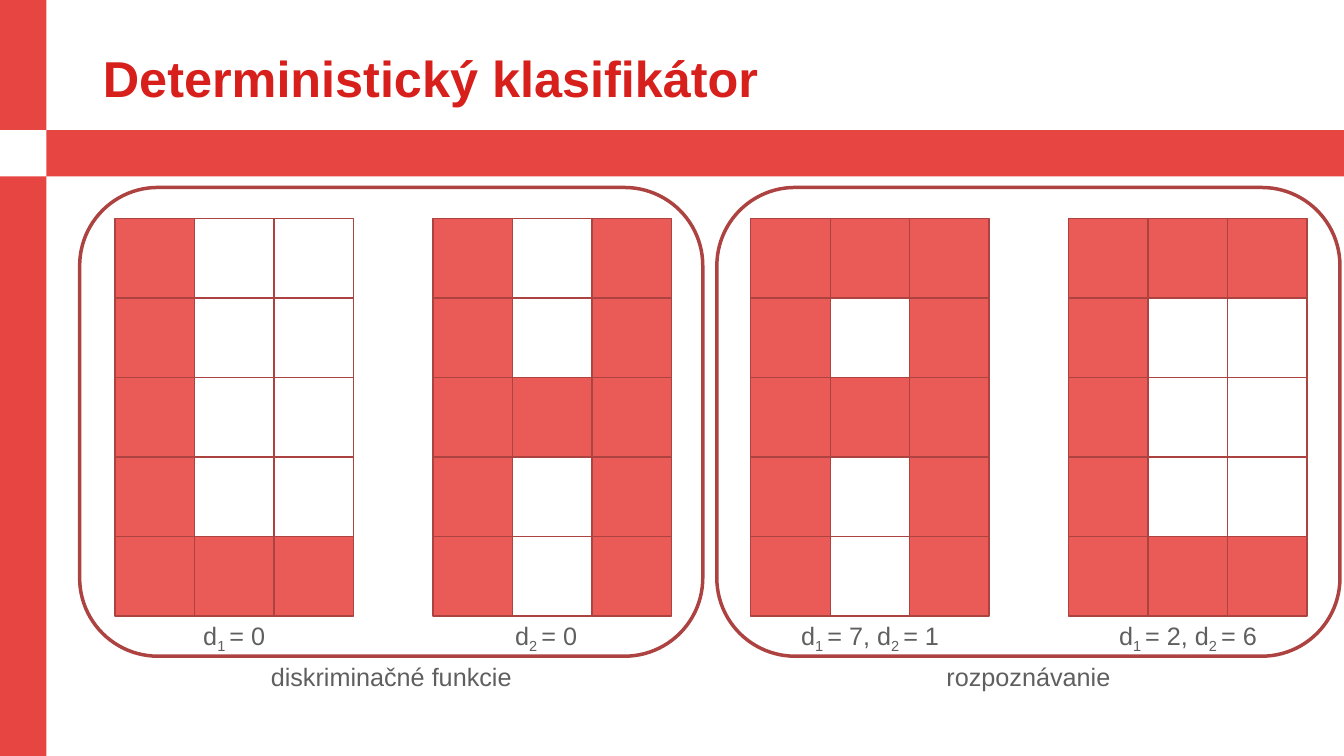
from dataclasses import dataclass

from pptx import Presentation
from pptx import util as u
from pptx.dml.color import RGBColor
from pptx.enum import shapes, text

COLORS = {
    "band": "E74541",
    "white": "FFFFFF",
    "title": "D71F1B",
    "cell": "EA5B58",
    "line": "AD4341",
    "text": "5F5F5F",
}
FONT = "Arial"
SLIDE_W, SLIDE_H = 13.33, 7.5
BAND, BAND_TOP = 0.46, 1.29

CELL = 9.46 / 12  # twelve grid columns from the first glyph to the last
GRID_LEFT, GRID_TOP = 1.14, 2.17
GLYPH_COLS, GLYPH_STEP = 3, 4
LABEL_TOP, LABEL_H = 6.1, 0.4
FRAME_TOP, FRAME_W, FRAME_H = 1.86, 6.18, 4.65


@dataclass
class Glyph:
    rows: tuple[str, ...]
    label: tuple[str, ...]  # plain and subscript pieces in turn
    label_shift: float = 0


@dataclass
class Frame:
    left: float
    caption: str


GLYPHS = [
    Glyph(("#..", "#..", "#..", "#..", "###"), ("d", "1 ", "= 0")),
    Glyph(("#.#", "#.#", "###", "#.#", "#.#"), ("d", "2 ", "= 0"), -0.06),
    Glyph(("###", "#.#", "###", "#.#", "#.#"), ("d", "1 ", "= 7, d", "2 ", "= 1")),
    Glyph(("###", "#..", "#..", "#..", "###"), ("d", "1 ", "= 2, d", "2 ", "= 6")),
]
FRAMES = [Frame(7.11, "rozpoznávanie"), Frame(0.79, "diskriminačné funkcie")]


def rgb(name: str) -> RGBColor:
    return RGBColor.from_string(COLORS[name])


def style(p, size: float, color: str, align, bold: bool = False) -> None:
    p.alignment = align
    p.font.name, p.font.size, p.font.bold = FONT, u.Pt(size), bold
    p.font.color.rgb = rgb(color)


def add_box(s, kind, box: tuple[float, ...], fill: str = "", line_width: float = 0) -> None:
    """Add a preset shape; no fill name means no fill, zero width means no line."""
    sp = s.shapes.add_shape(kind, *map(u.Inches, box))
    sp.shadow.inherit = False
    if fill:
        sp.fill.solid()
        sp.fill.fore_color.rgb = rgb(fill)
    else:
        sp.fill.background()
    if line_width:
        sp.line.color.rgb = rgb("line")
        sp.line.width = u.Pt(line_width)
    else:
        sp.line.fill.background()


def add_label(s, left: float, top: float, width: float, pieces: tuple[str, ...]) -> None:
    """Add a centred line in which every second piece is a subscript."""
    tf = s.shapes.add_textbox(*map(u.Inches, (left, top, width, LABEL_H))).text_frame
    tf.word_wrap = True
    tf.auto_size = text.MSO_AUTO_SIZE.SHAPE_TO_FIT_TEXT
    p = tf.paragraphs[0]
    style(p, 18, "text", text.PP_ALIGN.CENTER)
    for i, piece in enumerate(pieces):
        r = p.add_run()
        r.text = piece
        if i % 2:
            r.font._element.set("baseline", "-25000")


def add_glyph(s, index: int, glyph: Glyph) -> None:
    left = GRID_LEFT + index * GLYPH_STEP * CELL
    for row, marks in enumerate(glyph.rows):
        for col, mark in enumerate(marks):
            box = (left + col * CELL, GRID_TOP + row * CELL, CELL, CELL)
            add_box(s, shapes.MSO_SHAPE.RECTANGLE, box, "cell" if mark == "#" else "white", 1)
    add_label(s, left + glyph.label_shift, LABEL_TOP, GLYPH_COLS * CELL, glyph.label)


def add_title(s, title: str) -> None:
    sp = s.shapes.title
    sp.left, sp.top, sp.width, sp.height = map(u.Inches, (0.92, 0.35, 11.5, 0.91))
    tf = sp.text_frame
    tf.text = title
    tf.auto_size = text.MSO_AUTO_SIZE.NONE
    tf.vertical_anchor = text.MSO_ANCHOR.MIDDLE
    p = tf.paragraphs[0]
    p.line_spacing = 0.9
    style(p, 36, "title", text.PP_ALIGN.LEFT, bold=True)


def main() -> None:
    prs = Presentation()
    prs.slide_width, prs.slide_height = u.Inches(SLIDE_W), u.Inches(SLIDE_H)
    s = prs.slides.add_slide(prs.slide_layouts[5])

    rect = shapes.MSO_SHAPE.RECTANGLE
    add_box(s, rect, (0, 0, BAND, SLIDE_H), "band")
    add_box(s, rect, (0, BAND_TOP, SLIDE_W, BAND), "band")
    add_box(s, rect, (0, BAND_TOP, BAND, BAND), "white")
    add_title(s, "Deterministický klasifikátor")

    for i, glyph in enumerate(GLYPHS):
        add_glyph(s, i, glyph)
    for frame in FRAMES:
        box = (frame.left, FRAME_TOP, FRAME_W, FRAME_H)
        add_box(s, shapes.MSO_SHAPE.ROUNDED_RECTANGLE, box, line_width=2.5)
        add_label(s, frame.left, FRAME_TOP + FRAME_H, FRAME_W, (frame.caption,))

    prs.save("out.pptx")


if __name__ == "__main__":
    main()
